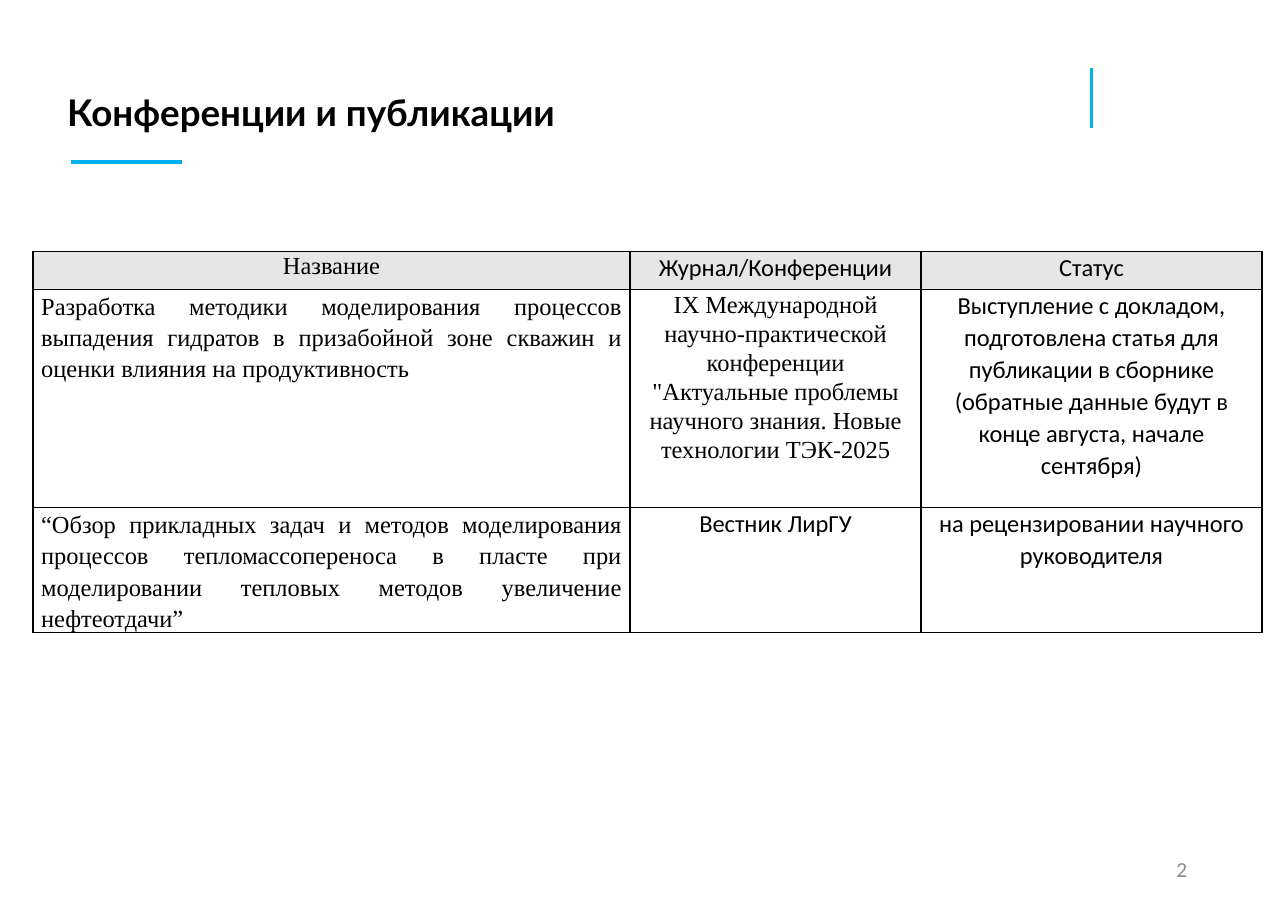
from lxml import etree
from pptx import Presentation
from pptx.dml.color import RGBColor
from pptx.enum.shapes import MSO_CONNECTOR
from pptx.enum.text import MSO_ANCHOR, MSO_AUTO_SIZE, PP_ALIGN
from pptx.oxml.ns import qn
from pptx.util import Cm, Pt

LEFT, CENTER, RIGHT, JUSTIFY = PP_ALIGN.LEFT, PP_ALIGN.CENTER, PP_ALIGN.RIGHT, PP_ALIGN.JUSTIFY
TOP, MIDDLE = MSO_ANCHOR.TOP, MSO_ANCHOR.MIDDLE
TITLE_ONLY = 5

# Content
TITLE = "Конференции и публикации"
PAGE_NUMBER = "2"
SERIF, SANS, TITLE_FONT = "Times New Roman", "Calibri", "Lato"
ROWS = [
    [("Название", SERIF), ("Журнал/Конференции", SANS), ("Статус", SANS)],
    [
        ("Разработка методики моделирования процессов выпадения гидратов в "
         "призабойной зоне скважин и оценки влияния на продуктивность", SERIF),
        ("IX Международной научно-практической конференции \"Актуальные проблемы "
         "научного знания. Новые технологии ТЭК-2025", SERIF),
        ("Выступление с докладом, подготовлена статья для публикации в сборнике "
         "(обратные данные будут в конце августа, начале сентября)", SANS),
    ],
    [
        ("“Обзор прикладных задач и методов моделирования процессов "
         "тепломассопереноса в пласте при моделировании тепловых методов "
         "увеличение нефтеотдачи”", SERIF),
        ("Вестник ЛирГУ", SANS),
        ("на рецензировании научного руководителя", SANS),
    ],
]

# Layout, in centimetres
COLUMN_WIDTHS = [13.77, 6.71, 7.86]
ROW_HEIGHTS = [0.88, 5.03, 2.88]
TABLE_LEFT, TABLE_TOP = 0.76, 5.79
ACCENT_LINES = [  # x1, y1, x2, y2, width in points
    (1.63, 3.73, 4.19, 3.73, 3),
    (25.17, 1.57, 25.17, 2.95, 2.25),
]
BLACK, GREY, ACCENT, HEADER_FILL = "000000", "8C8C8C", "00B0F0", "E7E6E6"


def color(value):
    return RGBColor.from_string(value)


def write(frame, text, font, size, fill, align, bold=False,
          line_spacing=1.0, before=0, after=0):
    paragraph = frame.paragraphs[0]
    paragraph.alignment = align
    paragraph.line_spacing = line_spacing
    paragraph.space_before, paragraph.space_after = Pt(before), Pt(after)
    run = paragraph.add_run()
    run.text = text
    run.font.name, run.font.size, run.font.bold = font, Pt(size), bold
    run.font.color.rgb = color(fill)


def set_frame(frame, anchor):
    frame.word_wrap = True
    frame.auto_size = MSO_AUTO_SIZE.NONE
    frame.vertical_anchor = anchor
    frame.margin_left = frame.margin_right = Cm(0.28)
    frame.margin_top = frame.margin_bottom = Cm(0.15)


def add_borders(cell):
    properties = cell._tc.get_or_add_tcPr()
    for side in ("a:lnL", "a:lnR", "a:lnT", "a:lnB"):
        line = etree.SubElement(properties, qn(side), w=str(Pt(1)))
        solid = etree.SubElement(line, qn("a:solidFill"))
        etree.SubElement(solid, qn("a:srgbClr"), val=BLACK)


presentation = Presentation()
presentation.slide_width, presentation.slide_height = Cm(29.7), Cm(21)
slide = presentation.slides.add_slide(presentation.slide_layouts[TITLE_ONLY])

# Accent lines
for x1, y1, x2, y2, width in ACCENT_LINES:
    connector = slide.shapes.add_connector(
        MSO_CONNECTOR.STRAIGHT, Cm(x1), Cm(y1), Cm(x2), Cm(y2))
    connector.line.color.rgb = color(ACCENT)
    connector.line.width = Pt(width)
    etree.SubElement(connector._element.spPr, qn("a:effectLst"))

# Title
title = slide.shapes.title
title.left, title.top, title.width, title.height = Cm(1.27), Cm(2.03), Cm(18.29), Cm(1.42)
set_frame(title.text_frame, TOP)
write(title.text_frame, TITLE, TITLE_FONT, 24, BLACK, LEFT, bold=True,
      line_spacing=0.9, before=11.4)

# Table of publications
table = slide.shapes.add_table(
    len(ROWS), len(COLUMN_WIDTHS), Cm(TABLE_LEFT), Cm(TABLE_TOP),
    Cm(sum(COLUMN_WIDTHS)), Cm(sum(ROW_HEIGHTS))).table
for column, width in zip(table.columns, COLUMN_WIDTHS):
    column.width = Cm(width)
for row, height in zip(table.rows, ROW_HEIGHTS):
    row.height = Cm(height)

for row_index, row in enumerate(ROWS):
    for column_index, (text, font) in enumerate(row):
        cell = table.cell(row_index, column_index)
        cell.margin_left = cell.margin_right = Cm(0.19)
        cell.margin_top = cell.margin_bottom = 0
        add_borders(cell)
        if row_index == 0:
            cell.fill.solid()
            cell.fill.fore_color.rgb = color(HEADER_FILL)
        else:
            cell.fill.background()
        if row_index > 0 and column_index == 0:
            align, spacing, after = JUSTIFY, 1.15, 10
        else:
            align, spacing, after = CENTER, 1.07, 8
        write(cell.text_frame, text, font, 16, BLACK, align,
              line_spacing=spacing, after=after)

# Page number
number_box = slide.shapes.add_textbox(Cm(20.98), Cm(19.46), Cm(6.68), Cm(1.12))
set_frame(number_box.text_frame, MIDDLE)
write(number_box.text_frame, PAGE_NUMBER, SANS, 14, GREY, RIGHT)

presentation.save("out.pptx")
